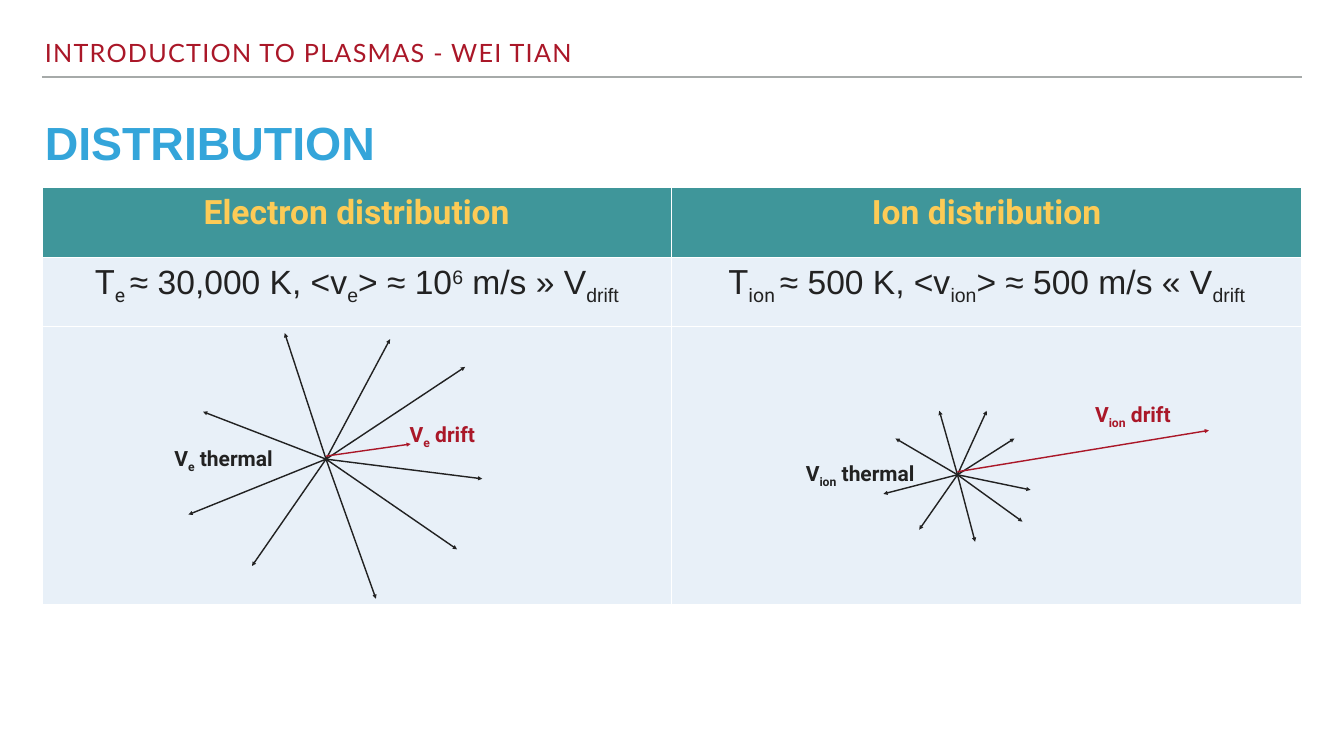
from lxml import etree
from pptx import Presentation
from pptx.dml.color import RGBColor
from pptx.enum.shapes import MSO_CONNECTOR
from pptx.enum.text import MSO_ANCHOR, MSO_AUTO_SIZE, PP_ALIGN
from pptx.oxml.ns import qn
from pptx.util import Inches, Pt

STRAIGHT = MSO_CONNECTOR.STRAIGHT
MIDDLE, BOTTOM = MSO_ANCHOR.MIDDLE, MSO_ANCHOR.BOTTOM
LEFT, CENTER = PP_ALIGN.LEFT, PP_ALIGN.CENTER
NO_FIT = MSO_AUTO_SIZE.NONE

COLORS = {"red": "AA1728", "blue": "34A5DA", "teal": "3F969A", "yellow": "FDCB56",
          "pale": "E8F0F8", "ink": "222222", "rule": "A6AAA9"}
SUB, SUPER = -25000, 30000
MARGIN, CONTENT_WIDTH = 0.83, 25


def write(frame, runs, size, color, bold=False, anchor=MIDDLE, wrap=True, inset=0.06, **spacing):
    """Fill a text frame with (text, font, baseline) runs."""
    frame.word_wrap = wrap
    frame.vertical_anchor = anchor
    for side in ("left", "right", "top", "bottom"):
        setattr(frame, f"margin_{side}", Inches(inset))
    paragraph = frame.paragraphs[0]
    for name, value in spacing.items():
        setattr(paragraph, name, value)
    for text, font, baseline in runs:
        run = paragraph.add_run()
        run.text = text
        for name, value in {"name": font, "size": Pt(size), "bold": bold}.items():
            setattr(run.font, name, value)
        run.font.color.rgb = RGBColor.from_string(COLORS[color])
        if baseline:
            run.font._element.set("baseline", str(baseline))
    return paragraph


def draw_line(shapes, start, end, color, arrow=True):
    line = shapes.add_connector(STRAIGHT, *(Inches(v) for v in (*start, *end)))
    line.line.width = Pt(2)
    line.line.color.rgb = RGBColor.from_string(COLORS[color])
    if arrow:
        etree.SubElement(line.line._get_or_add_ln(), qn("a:tailEnd"), type="triangle")
    etree.SubElement(line._element.spPr, qn("a:effectLst"))


prs = Presentation()
prs.slide_width, prs.slide_height = Inches(26.67), Inches(15)
slide = prs.slides.add_slide(prs.slide_layouts[5])

# Running header and its rule
draw_line(slide.shapes, (MARGIN, 1.53), (MARGIN + CONTENT_WIDTH, 1.53), "rule", arrow=False)
header = slide.shapes.add_textbox(Inches(MARGIN), Inches(0.79), Inches(22.92), Inches(0.6))
header_line = write(header.text_frame, [("INTRODUCTION TO PLASMAS - WEI TIAN", "Lato", 0)],
                    36, "red", anchor=BOTTOM, line_spacing=0.8)
header_line.runs[0].font._element.set("spc", "180")

# Title
title = slide.shapes.title
title.left, title.top = Inches(MARGIN), Inches(2.36)
title.width, title.height = Inches(CONTENT_WIDTH), Inches(1.11)
title.text_frame.auto_size = NO_FIT
write(title.text_frame, [("DISTRIBUTION", "Arial", 0)], 66.4, "blue", bold=True,
      alignment=LEFT, line_spacing=0.8, space_before=Pt(39))

# Distribution table: headings, formulas, room for the diagrams
row_heights = [1.38, 1.38, 5.52]
table = slide.shapes.add_table(3, 2, Inches(MARGIN), Inches(3.72), Inches(CONTENT_WIDTH),
                               Inches(sum(row_heights))).table
for row, height in zip(table.rows, row_heights):
    row.height = Inches(height)
headings = ["Electron distribution", "Ion distribution"]
formulas = [
    [("T", "Roboto", 0), ("e ", "Roboto", SUB), ("≈ 30,000 K, <v", "Arial", 0),
     ("e", "Arial", SUB), ("> ≈ 10", "Arial", 0), ("6", "Arial", SUPER),
     (" m/s » V", "Arial", 0), ("drift", "Arial", SUB)],
    [("T", "Roboto", 0), ("ion ", "Roboto", SUB), ("≈ 500 K, <v", "Arial", 0),
     ("ion", "Arial", SUB), ("> ≈ 500 m/s « V", "Arial", 0), ("drift", "Arial", SUB)],
]
for column, (heading, formula) in enumerate(zip(headings, formulas)):
    cell_texts = [([(heading, "Roboto", 0)], "yellow", True), (formula, "ink", False)]
    for row, (runs, color, bold) in enumerate(cell_texts):
        cell = table.cell(row, column)
        write(cell.text_frame, runs, 48, color, bold, alignment=CENTER,
              line_spacing=0.2, space_before=Pt(20))
        cell.vertical_anchor = MIDDLE
    for row, fill in enumerate(["teal", "pale", "pale"]):
        cell = table.cell(row, column)
        cell.fill.solid()
        cell.fill.fore_color.rgb = RGBColor.from_string(COLORS[fill])

# Velocity diagrams: thermal arrows fan out from a centre, one red drift arrow
diagrams = [
    {"particle": "e", "center": (6.47, 9.11), "drift": (8.15, 8.81),
     "thermal": [(9.23, 7.28), (9.57, 9.5), (7.46, 11.88), (5.65, 6.61), (4.03, 8.17),
                 (3.74, 10.21), (5, 11.23), (7.74, 6.73), (9.07, 10.9)],
     "labels": [("thermal", "ink", 3.4, 8.81, 2.16), ("drift", "red", 8.07, 8.33, 1.47)]},
    {"particle": "ion", "center": (19, 9.42), "drift": (23.99, 8.54),
     "thermal": [(20.13, 8.7), (20.45, 9.72), (19.35, 10.75), (18.64, 8.15), (17.77, 8.7),
                 (17.53, 9.8), (18.24, 10.51), (19.58, 8.15), (20.29, 10.35)],
     "labels": [("thermal", "ink", 15.93, 9.11, 2.42), ("drift", "red", 21.67, 7.94, 1.72)]},
]
for diagram in diagrams:
    group = slide.shapes.add_group_shape().shapes
    center_x, center_y = diagram["center"]
    for tip in diagram["thermal"]:
        draw_line(group, (center_x, center_y), tip, "ink")
    draw_line(group, (center_x, center_y - 0.06), diagram["drift"], "red")
    for motion, color, left, top, width in diagram["labels"]:
        label = group.add_textbox(Inches(left), Inches(top), Inches(width), Inches(0.62))
        write(label.text_frame,
              [("V", "Roboto", 0), (diagram["particle"], "Roboto", SUB),
               (f" {motion}", "Roboto", 0)],
              30, color, bold=True, wrap=False, space_before=Pt(20), space_after=Pt(20))

prs.save("out.pptx")
